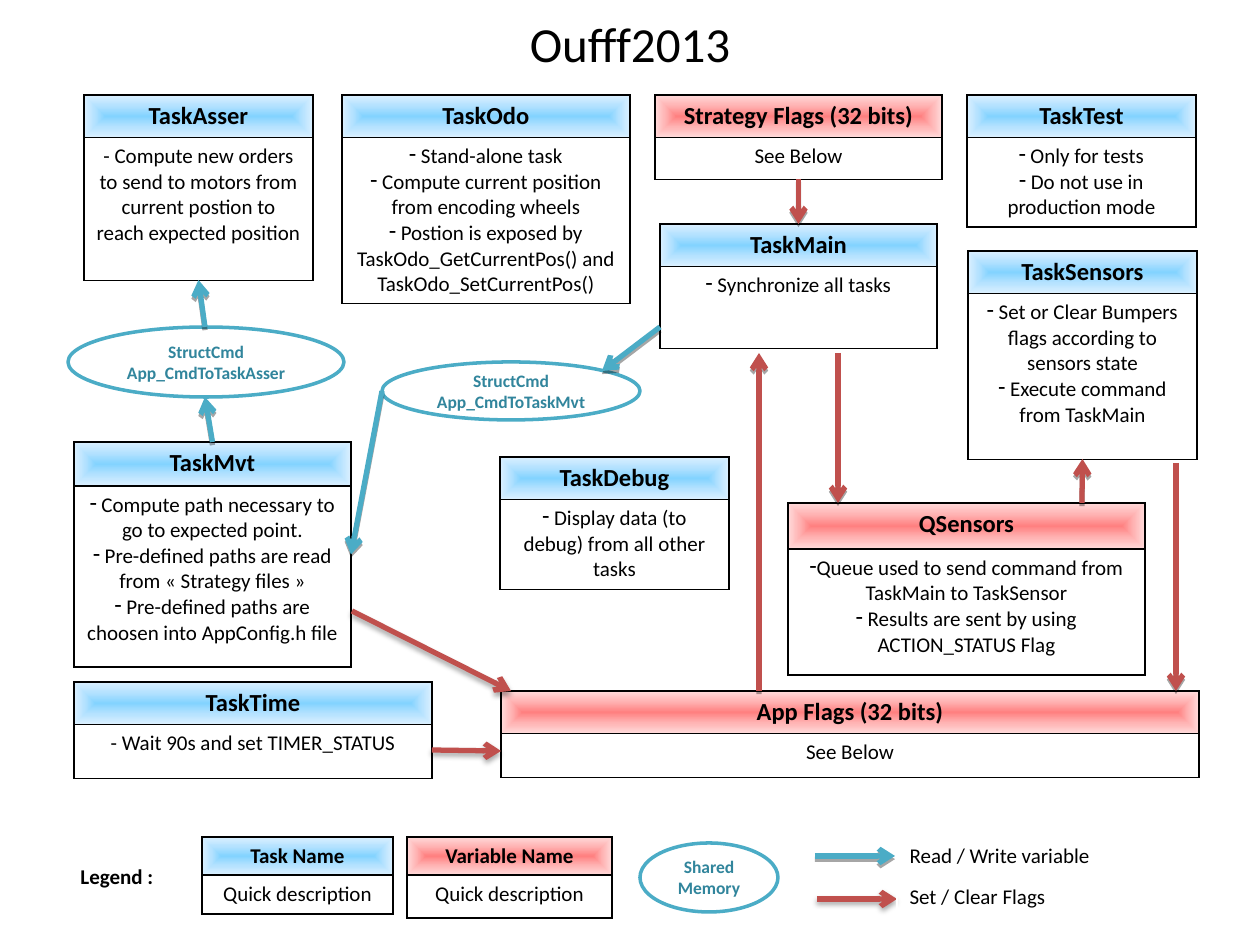
from dataclasses import dataclass

from pptx import Presentation
from pptx.dml.color import RGBColor
from pptx.enum.shapes import MSO_CONNECTOR, MSO_SHAPE
from pptx.enum.text import MSO_ANCHOR, PP_ALIGN
from pptx.oxml import parse_xml
from pptx.oxml.ns import nsdecls
from pptx.util import Pt

EMU_PER_PX = 914400 / 126
TOP, LEFT, BOTTOM, RIGHT = range(4)


@dataclass(frozen=True)
class Theme:
    font: str = "Calibri"
    ink: str = "000000"
    paper: str = "FFFFFF"
    memory_text: str = "31859C"
    data: str = "4BACC6"
    flag: str = "C0504D"
    task_header: tuple = ("83D3FF", "B5E2FF", "DBF0FF")
    variable_header: tuple = ("FF8080", "FFB3B3", "FFDADA")
    title_size: int = 28
    header_size: int = 14
    body_size: int = 12
    memory_size: int = 10


def px(length):
    return round(length * EMU_PER_PX)


def add_xml(parent, xml):
    """Append a fragment whose first tag gets the drawing namespace."""
    cut = min(i for i in (xml.find(" "), xml.find("/"), xml.find(">")) if i > 0)
    parent.append(parse_xml(f"{xml[:cut]} {nsdecls('a')}{xml[cut:]}"))


class Diagram:
    def __init__(self, slide, theme):
        self.slide, self.theme = slide, theme

    def set_text(self, frame, text, size, color=None, bold=False, align=PP_ALIGN.CENTER):
        frame.text = text
        frame.word_wrap = True
        for paragraph in frame.paragraphs:
            paragraph.alignment = align
            for run in paragraph.runs:
                run.font.name = self.theme.font
                run.font.size = Pt(size)
                run.font.bold = bold
                run.font.color.rgb = RGBColor.from_string(color or self.theme.ink)

    def title(self, text, box):
        heading = self.slide.shapes.title
        heading.left, heading.top, heading.width, heading.height = map(px, box)
        self.set_text(heading.text_frame, text, self.theme.title_size)
        heading.text_frame.vertical_anchor = MSO_ANCHOR.MIDDLE

    def label(self, text, box):
        frame = self.slide.shapes.add_textbox(*map(px, box)).text_frame
        self.set_text(frame, text, self.theme.body_size, bold=True, align=PP_ALIGN.LEFT)
        frame.vertical_anchor = MSO_ANCHOR.MIDDLE

    def table(self, row_heights, box):
        holder = self.slide.shapes.add_table(len(row_heights), 1, *map(px, box))
        holder.table.first_row = holder.table.horz_banding = False
        for row, height in zip(holder.table.rows, row_heights):
            row.height = px(height)
        return holder

    def border(self, cell):
        for side in "LRTB":
            add_xml(cell._tc.get_or_add_tcPr(),
                    f'<a:ln{side} w="12700"><a:solidFill><a:srgbClr val="{self.theme.ink}"/>'
                    f"</a:solidFill></a:ln{side}>")

    def glow(self, cell, colors):
        """Fill a cell with a gradient that spreads from its centre."""
        stops = "".join(f'<a:gs pos="{i * 50000}"><a:srgbClr val="{color}"/></a:gs>'
                        for i, color in enumerate(colors))
        add_xml(cell._tc.get_or_add_tcPr(),
                f'<a:gradFill rotWithShape="1"><a:gsLst>{stops}</a:gsLst><a:path path="rect">'
                '<a:fillToRect l="50000" t="50000" r="50000" b="50000"/></a:path></a:gradFill>')

    def card(self, name, lines, box, colors, header=42, bullets=False, name_size=None):
        holder = self.table((header, box[3] - header), box)
        head, body = (holder.table.cell(row, 0) for row in range(2))
        self.border(head)
        self.border(body)
        self.glow(head, colors)
        body.fill.background()
        self.set_text(head.text_frame, name, name_size or self.theme.header_size, bold=True)
        self.set_text(body.text_frame, "\n".join(lines), self.theme.body_size)
        if bullets:
            for paragraph in body.text_frame.paragraphs:
                properties = paragraph._p.get_or_add_pPr()
                properties.set("marL", "0")
                properties.set("indent", "0")
                add_xml(properties, "<a:buFontTx/>")
                add_xml(properties, '<a:buChar char="-"/>')
        return holder

    def memory(self, text, box):
        oval = self.slide.shapes.add_shape(MSO_SHAPE.OVAL, *map(px, box))
        oval.shadow.inherit = False
        oval.fill.solid()
        oval.fill.fore_color.rgb = RGBColor.from_string(self.theme.paper)
        oval.line.color.rgb = RGBColor.from_string(self.theme.data)
        oval.line.width = Pt(2)
        self.set_text(oval.text_frame, text, self.theme.memory_size, self.theme.memory_text, True)
        oval.text_frame.vertical_anchor = MSO_ANCHOR.MIDDLE

    def arrow(self, start, end, color, source=None, target=None, blur=0):
        """Draw an arrow; source and target are optional (card, side) joints."""
        link = self.slide.shapes.add_connector(MSO_CONNECTOR.STRAIGHT, *map(px, start + end))
        if source:
            link.begin_connect(*source)
        if target:
            link.end_connect(*target)
        link.line.color.rgb = RGBColor.from_string(color)
        link.line.width = Pt(3)
        add_xml(link.line._get_or_add_ln(), '<a:tailEnd type="arrow"/>')
        add_xml(link._element.spPr,
                f'<a:effectLst><a:outerShdw blurRad="{Pt(blur)}" dist="{Pt(1.8)}" dir="5400000" '
                f'rotWithShape="0"><a:srgbClr val="{self.theme.ink}"><a:alpha val="35000"/>'
                "</a:srgbClr></a:outerShdw></a:effectLst>")

    def arrow_key(self, lines, box):
        cell = self.table((box[3],), box).table.cell(0, 0)
        cell.fill.background()
        self.set_text(cell.text_frame, "\n".join(lines), self.theme.body_size, align=PP_ALIGN.LEFT)
        for paragraph in cell.text_frame.paragraphs[1:]:
            paragraph.space_before = Pt(9)


def main():
    theme = Theme()
    deck = Presentation()
    deck.slide_width, deck.slide_height = px(1260), px(945)
    diagram = Diagram(deck.slides.add_slide(deck.slide_layouts[5]), theme)
    task, variable = theme.task_header, theme.variable_header
    card, arrow = diagram.card, diagram.arrow

    diagram.title("Oufff2013", (0, 0, 1260, 86))

    strategy = card("Strategy Flags (32 bits)", ["See Below"], (655, 95, 287, 84), variable)
    main_task = card("TaskMain", [" Synchronize all tasks"], (660, 224, 277, 124), task,
                     bullets=True)
    sensors = card("TaskSensors", [" Set or Clear Bumpers flags according to sensors state",
                                   " Execute command from TaskMain"],
                   (968, 251, 229, 208), task, bullets=True)
    asser = card("TaskAsser", ["- Compute new orders to send to motors from current postion "
                               "to reach expected position"], (84, 95, 229, 185), task)
    mvt = card("TaskMvt", [" Compute path necessary to go to expected point.",
                           " Pre-defined paths are read from « Strategy files »",
                           " Pre-defined paths are choosen into AppConfig.h file "],
               (74, 442, 277, 225), task, header=44, bullets=True)
    card("TaskTime", ["- Wait 90s and set TIMER_STATUS"], (74, 682, 358, 96), task)
    card("TaskOdo", [" Stand-alone task", " Compute current position from encoding wheels",
                     " Postion is exposed by TaskOdo_GetCurrentPos() and "
                     "TaskOdo_SetCurrentPos()"], (342, 95, 288, 208), task, bullets=True)
    card("App Flags (32 bits)", ["See Below"], (501, 691, 698, 86), variable)
    card("QSensors", ["Queue used to send command from TaskMain to TaskSensor",
                      " Results are sent by using ACTION_STATUS Flag"],
         (788, 503, 357, 172), variable, header=46, bullets=True)
    card("TaskTest", [" Only for tests", " Do not use in production mode"],
         (967, 95, 229, 131), task, bullets=True)
    card("TaskDebug", [" Display data (to debug) from all other tasks"],
         (500, 457, 229, 132), task, bullets=True)

    diagram.memory("StructCmd App_CmdToTaskAsser", (68, 327, 276, 70))
    diagram.memory("StructCmd App_CmdToTaskMvt", (382, 362, 258, 58))

    arrow((432, 750), (501, 751), theme.flag, blur=3.1)
    arrow((352, 611), (511, 691), theme.flag, blur=3.1)
    arrow((759, 691), (759, 353), theme.flag)
    arrow((838, 353), (838, 503), theme.flag)
    arrow((1082, 503), (1082, 459), theme.flag, target=(sensors, BOTTOM))
    arrow((1176, 463), (1176, 691), theme.flag)
    arrow((798, 179), (798, 224), theme.flag, (strategy, BOTTOM), (main_task, TOP))
    arrow((205, 327), (199, 280), theme.data, target=(asser, BOTTOM))
    arrow((213, 442), (205, 397), theme.data, source=(mvt, TOP))
    arrow((382, 391), (352, 554), theme.data, target=(mvt, RIGHT))
    arrow((660, 327), (602, 371), theme.data)

    diagram.label("Legend :", (68, 815, 1128, 123))
    card("Task Name", ["Quick description"], (202, 837, 191, 77), task, header=38,
         name_size=theme.body_size)
    card("Variable Name", ["Quick description"], (407, 837, 205, 81), variable, header=38,
         name_size=theme.body_size)
    diagram.memory("Shared Memory", (640, 843, 138, 69))
    arrow((815, 856), (895, 856), theme.data)
    arrow((817, 899), (897, 899), theme.flag, blur=3.1)
    diagram.arrow_key(["Read / Write variable", "Set / Clear Flags"], (897, 837, 278, 98))

    deck.save("out.pptx")


if __name__ == "__main__":
    main()
